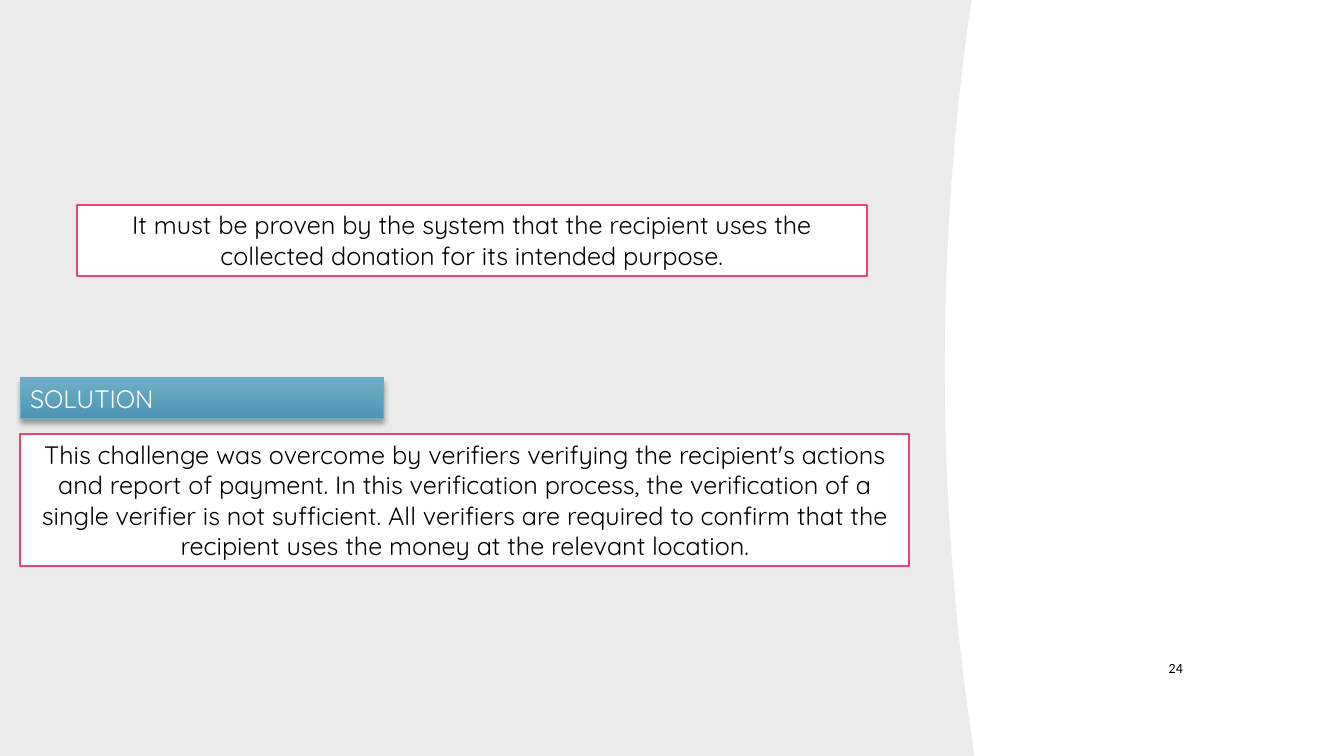
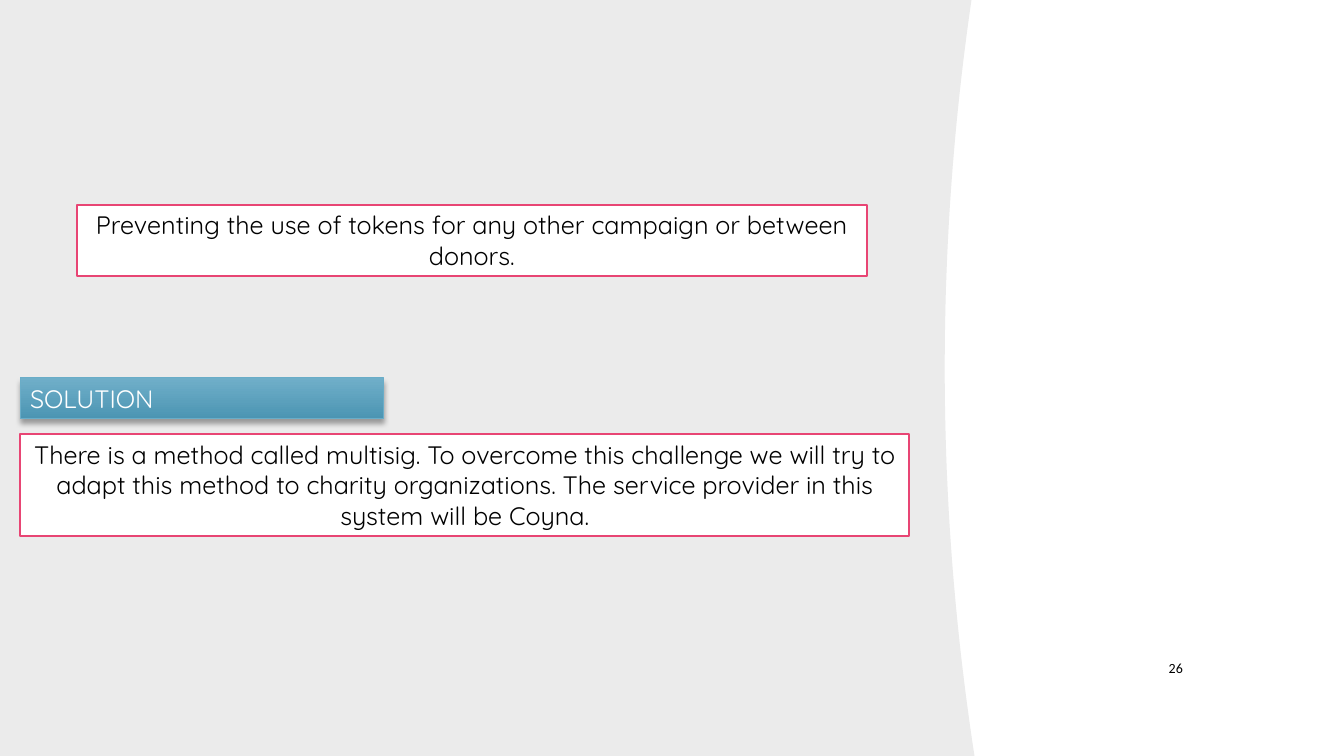
from dataclasses import dataclass

from lxml import etree
from pptx import Presentation
from pptx.dml.color import RGBColor
from pptx.enum.shapes import MSO_SHAPE as Shape
from pptx.enum.text import MSO_ANCHOR as Anchor, PP_ALIGN as Align
from pptx.oxml.ns import qn
from pptx.util import Inches, Pt

WIDTH, HEIGHT = 13.33, 7.5
PANEL, WHITE, BLACK, PINK = "EBEBEB", "FFFFFF", "000000", "E84574"
BLUE_TOP, BLUE_BOTTOM, BLUE_LINE = "70AFC9", "4C95B3", "6AADC8"
BODY_FONT, NUMBER_FONT = "Quicksand", "Calibri"


@dataclass(frozen=True)
class Box:
    left: float
    top: float
    width: float
    height: float

    def lengths(self):
        return [Inches(v) for v in (self.left, self.top, self.width, self.height)]


@dataclass(frozen=True)
class Challenge:
    number: int
    problem: str
    solution: str
    solution_height: float


PROBLEM_BOX = Box(0.76, 2.03, 7.84, 0.71)
LABEL_BOX = Box(0.2, 3.75, 3.6, 0.4)
NUMBER_BOX = Box(11.23, 6.42, 0.6, 0.41)

CHALLENGES = [
    Challenge(
        24,
        "It must be proven by the system that the recipient uses the collected "
        "donation for its intended purpose.",
        "This challenge was overcome by verifiers verifying the recipient's actions "
        "and report of payment. In this verification process, the verification of a "
        "single verifier is not sufficient. All verifiers are required to confirm "
        "that the recipient uses the money at the relevant location.",
        1.31,
    ),
    Challenge(
        26,
        "Preventing the use of tokens for any other campaign or between donors.",
        "There is a method called multisig. To overcome this challenge we will try to "
        "adapt this method to charity organizations. The service provider in this "
        "system will be Coyna.",
        1.01,
    ),
]


def rgb(color: str) -> RGBColor:
    return RGBColor.from_string(color)


def write(s, text: str, color: str, align, size: float = 18,
          font: str = BODY_FONT, anchor=Anchor.TOP) -> None:
    tf = s.text_frame
    tf.word_wrap = True
    tf.vertical_anchor = anchor
    p = tf.paragraphs[0]
    p.alignment = align
    r = p.add_run()
    r.text = text
    r.font.name = font
    r.font.size = Pt(size)
    r.font.color.rgb = rgb(color)


def add_rectangle(slide, box: Box, line: str, line_width: float):
    s = slide.shapes.add_shape(Shape.RECTANGLE, *box.lengths())
    s.shadow.inherit = False
    s.line.color.rgb = rgb(line)
    s.line.width = Pt(line_width)
    return s


def add_curved_panel(slide) -> None:
    """Fill the left side up to an edge that bows inwards as a parabola."""
    steps, inner, bow, middle = 50, 9.37, 0.28, 3.65
    edge = []
    for i in range(steps + 1):
        y = HEIGHT * i / steps
        x = inner + bow * ((y - middle) / (HEIGHT / 2)) ** 2
        edge.append((Inches(x), Inches(y)))
    builder = slide.shapes.build_freeform(0, 0)
    builder.add_line_segments(edge + [(0, Inches(HEIGHT))], close=True)
    s = builder.convert_to_shape()
    s.shadow.inherit = False
    s.fill.solid()
    s.fill.fore_color.rgb = rgb(PANEL)
    s.line.fill.background()


def add_statement(slide, box: Box, text: str) -> None:
    s = add_rectangle(slide, box, PINK, 1.5)
    s.fill.solid()
    s.fill.fore_color.rgb = rgb(WHITE)
    write(s, text, BLACK, Align.CENTER)


def add_drop_shadow(s) -> None:
    effects = s._element.spPr.find(qn("a:effectLst"))
    shadow = etree.SubElement(effects, qn("a:outerShdw"), blurRad=str(Pt(4)),
                              dist=str(Pt(3)), dir="5400000", rotWithShape="0")
    color = etree.SubElement(shadow, qn("a:srgbClr"), val=BLACK)
    etree.SubElement(color, qn("a:alpha"), val="35000")


def add_label(slide, text: str) -> None:
    s = add_rectangle(slide, LABEL_BOX, BLUE_LINE, 0.75)
    s.fill.gradient()
    s.fill.gradient_angle = 270
    for stop, color in zip(s.fill.gradient_stops, (BLUE_TOP, BLUE_BOTTOM)):
        stop.color.rgb = rgb(color)
    add_drop_shadow(s)
    write(s, text, WHITE, Align.LEFT)


def add_challenge(prs, challenge: Challenge) -> None:
    slide = prs.slides.add_slide(prs.slide_layouts[6])
    add_curved_panel(slide)
    add_statement(slide, PROBLEM_BOX, challenge.problem)
    add_label(slide, "SOLUTION")
    solution_box = Box(LABEL_BOX.left, 4.31, 8.82, challenge.solution_height)
    add_statement(slide, solution_box, challenge.solution)
    number = slide.shapes.add_textbox(*NUMBER_BOX.lengths())
    write(number, str(challenge.number), BLACK, Align.RIGHT, 10, NUMBER_FONT,
          Anchor.MIDDLE)


def main() -> None:
    prs = Presentation()
    prs.slide_width, prs.slide_height = Inches(WIDTH), Inches(HEIGHT)
    for challenge in CHALLENGES:
        add_challenge(prs, challenge)
    prs.save("out.pptx")


if __name__ == "__main__":
    main()
